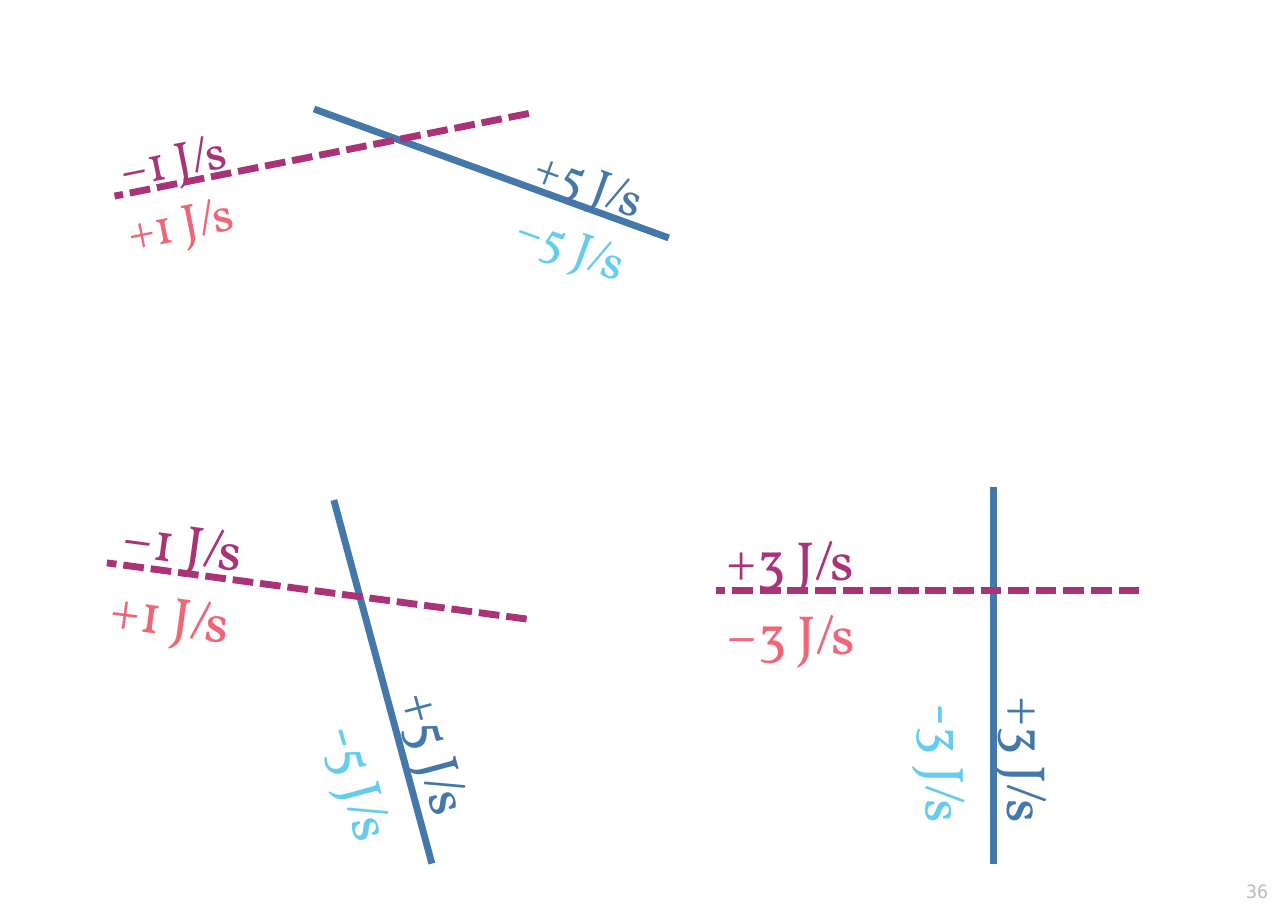
from dataclasses import dataclass

from lxml.etree import SubElement
from pptx import Presentation
from pptx.dml.color import RGBColor
from pptx.enum.dml import MSO_LINE
from pptx.enum.shapes import MSO_CONNECTOR
from pptx.enum.text import MSO_AUTO_SIZE, PP_ALIGN
from pptx.oxml.ns import qn
from pptx.util import Pt

SCALE = 9144


@dataclass(frozen=True)
class Theme:
    blue: str = "4477AA"
    cyan: str = "66CCEE"
    purple: str = "AA3377"
    red: str = "EE6677"
    gray: str = "BBBBBB"
    serif: str = "Vollkorn"
    mono: str = "DejaVu Sans Mono"
    large: int = 36
    mid: int = 32
    small: int = 12
    stroke: float = 4.5


THEME = Theme()

CROSSES = [
    {
        "size": THEME.large,
        "solid": (392, 784, 303, 454),
        "dashed": (478, 562, 97, 511),
        "down": [("+5 J/s", (319, 656, 156, 78)), ("-5 J/s", (256, 679, 142, 78))],
        "across": [("–1 J/s", (101, 458, 150, 78)), ("+1 J/s", (90, 524, 156, 78))],
        "turns": (74.8, 7.8),
    },
    {
        "size": THEME.large,
        "solid": (902, 784, 902, 442),
        "dashed": (1034, 536, 650, 536),
        "down": [("+3 J/s", (852, 661, 156, 78)), ("-3 J/s", (785, 661, 142, 78))],
        "across": [("+3 J/s", (650, 472, 156, 78)), ("–3 J/s", (650, 539, 156, 78))],
        "turns": (90, 0),
    },
    {
        "size": THEME.mid,
        "solid": (607, 216, 285, 99),
        "dashed": (480, 103, 104, 178),
        "down": [("+5 J/s", (474, 136, 141, 70)), ("–5 J/s", (457, 192, 136, 70))],
        "across": [("–1 J/s", (98, 109, 150, 70)), ("+1 J/s", (105, 165, 156, 70))],
        "turns": (20, 348.6),
    },
]


def px(*nums):
    return [num * SCALE for num in nums]


def apply(item, form):
    for name, value in form.items():
        setattr(item, name, value)


def draw_line(slide, ends, color, dash=None):
    line = slide.shapes.add_connector(MSO_CONNECTOR.STRAIGHT, *px(*ends))
    apply(line.line, {"width": Pt(THEME.stroke), "dash_style": dash})
    line.line.color.rgb = RGBColor.from_string(color)
    SubElement(line._element.spPr, qn("a:effectLst"))


def add_label(slide, text, box, color, size, turn=0, wrap=False,
              face=THEME.serif, align=PP_ALIGN.LEFT):
    label = slide.shapes.add_textbox(*px(*box))
    label.rotation = turn
    frame = label.text_frame
    apply(frame, {"word_wrap": wrap, "auto_size": MSO_AUTO_SIZE.SHAPE_TO_FIT_TEXT})
    para = frame.paragraphs[0]
    para.alignment = align
    run = para.add_run()
    run.text = text
    apply(run.font, {"name": face, "size": Pt(size)})
    run.font.color.rgb = RGBColor.from_string(color)


def draw_cross(slide, cross):
    draw_line(slide, cross["solid"], THEME.blue)
    draw_line(slide, cross["dashed"], THEME.purple, MSO_LINE.SQUARE_DOT)
    steep, flat = cross["turns"]
    groups = [
        (cross["down"], (THEME.blue, THEME.cyan), steep, False),
        (cross["across"], (THEME.purple, THEME.red), flat, True),
    ]
    for labels, colors, turn, wrap in groups:
        for (text, box), color in zip(labels, colors):
            add_label(slide, text, box, color, cross["size"], turn, wrap)


def main():
    deck = Presentation()
    width, height = px(1169, 827)
    apply(deck, {"slide_width": width, "slide_height": height})
    slide = deck.slides.add_slide(deck.slide_layouts[6])
    add_label(slide, "36", (1061, 794, 100, 29), THEME.gray, THEME.small,
              face=THEME.mono, align=PP_ALIGN.RIGHT)
    for cross in CROSSES:
        draw_cross(slide, cross)
    deck.save("out.pptx")


if __name__ == "__main__":
    main()
